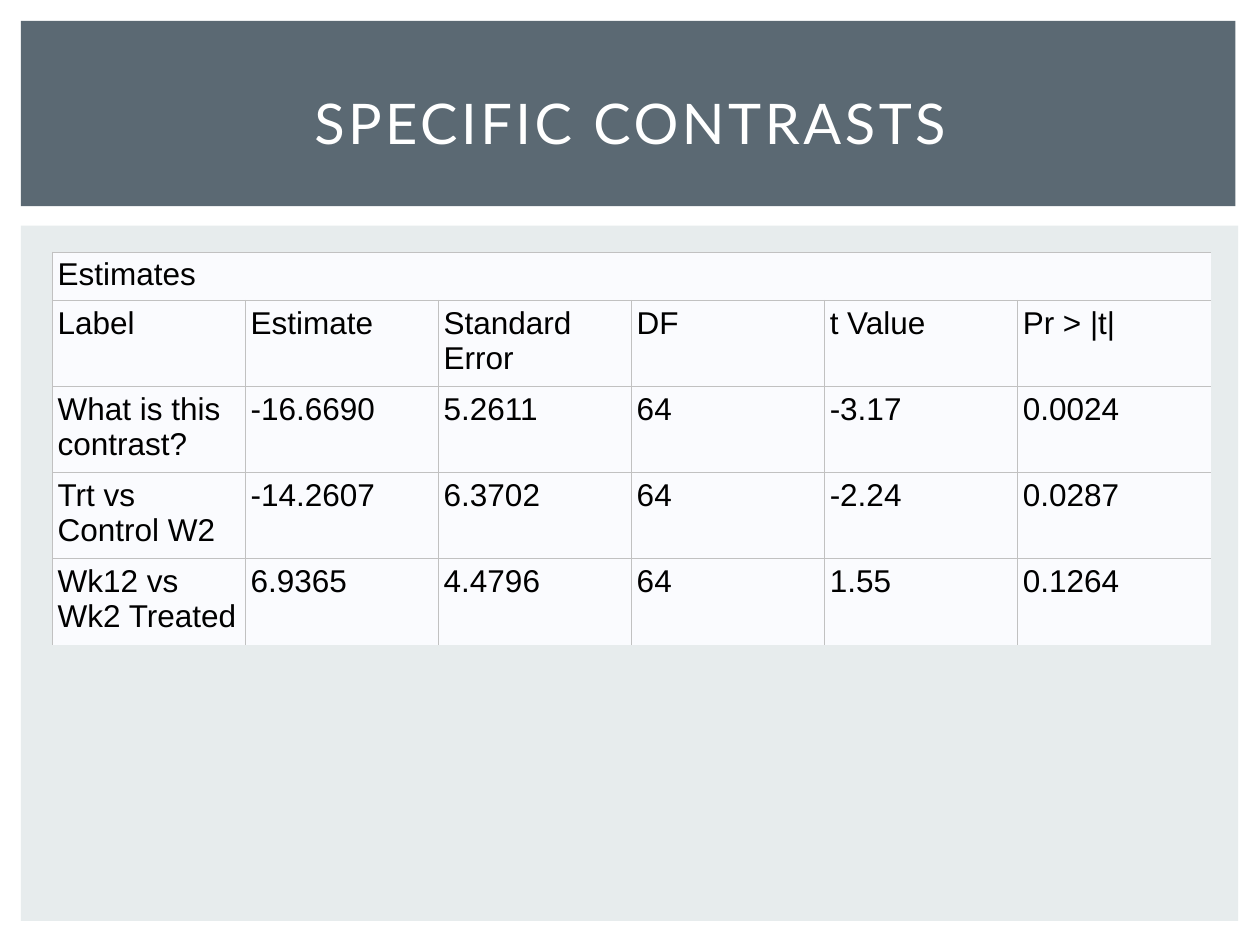
from dataclasses import dataclass

from lxml.etree import SubElement
from pptx import Presentation
from pptx.dml.color import RGBColor
from pptx.enum.shapes import MSO_SHAPE as Shape
from pptx.enum.text import MSO_ANCHOR as Anchor, PP_ALIGN as Align
from pptx.oxml.ns import qn
from pptx.slide import Slide
from pptx.table import _Cell as Cell
from pptx.util import Pt

RULE_COLOUR = "C1C1C1"
RULE_WIDTH = 0.6
CELL_FILL = "FAFBFE"
CELL_INSET = 3
COLUMN_WIDTH = 110.3
HEADING_HEIGHT = 25.7
ROW_HEIGHT = 46.3

ESTIMATES = [
    ["Estimates", "", "", "", "", ""],
    ["Label", "Estimate", "Standard Error", "DF", "t Value", "Pr > |t|"],
    ["What is this contrast?", "-16.6690", "5.2611", "64", "-3.17", "0.0024"],
    ["Trt vs Control W2", "-14.2607", "6.3702", "64", "-2.24", "0.0287"],
    ["Wk12 vs Wk2 Treated", "6.9365", "4.4796", "64", "1.55", "0.1264"],
]


@dataclass
class Panel:
    left: float
    top: float
    width: float
    height: float
    fill: str


PANELS = [
    Panel(12, 128.9, 695.5, 397.4, "E7ECED"),
    Panel(12, 12, 694, 105.8, "5B6973"),
]


def colour(hex_value: str) -> RGBColor:
    return RGBColor.from_string(hex_value)


def draw_panel(slide: Slide, panel: Panel) -> None:
    backdrop = slide.shapes.add_shape(
        Shape.RECTANGLE, Pt(panel.left), Pt(panel.top), Pt(panel.width), Pt(panel.height))
    backdrop.shadow.inherit = False
    backdrop.fill.solid()
    backdrop.fill.fore_color.rgb = colour(panel.fill)
    backdrop.line.fill.background()


def draw_title(slide: Slide, text: str) -> None:
    title = slide.shapes.add_textbox(Pt(30.2), Pt(28), Pt(660), Pt(83)).text_frame
    title.word_wrap = True
    title.vertical_anchor = Anchor.MIDDLE
    heading = title.paragraphs[0]
    heading.alignment = Align.CENTER
    heading.font.name = "Lato"
    heading.font.size = Pt(32)
    heading.font.color.rgb = colour("FFFFFF")
    letters = heading.add_run()
    letters.text = text
    letters._r.get_or_add_rPr().set("spc", "200")


def rule_cell(cell: Cell, right: bool, bottom: bool) -> None:
    """Rule the left and top sides, and the others where asked."""
    properties = cell._tc.get_or_add_tcPr()
    sides = {"a:lnL": True, "a:lnR": right, "a:lnT": True, "a:lnB": bottom}
    for tag, ruled in sides.items():
        side = SubElement(properties, qn(tag), w=str(Pt(RULE_WIDTH)))
        if ruled:
            fill = SubElement(side, qn("a:solidFill"))
            SubElement(fill, qn("a:srgbClr"), val=RULE_COLOUR)
        else:
            SubElement(side, qn("a:noFill"))


def fill_cell(cell: Cell, text: str) -> None:
    cell.fill.solid()
    cell.fill.fore_color.rgb = colour(CELL_FILL)
    cell.margin_left = cell.margin_right = Pt(CELL_INSET)
    cell.margin_top = cell.margin_bottom = Pt(CELL_INSET)
    cell.text = text
    entry = cell.text_frame.paragraphs[0]
    entry.font.name = "Arial"
    entry.font.size = Pt(18)
    entry.font.bold = False
    entry.font.color.rgb = colour("000000")


def draw_estimates(slide: Slide, rows: list[list[str]]) -> None:
    row_count, column_count = len(rows), len(rows[0])
    heights = [HEADING_HEIGHT] + [ROW_HEIGHT] * (row_count - 1)
    table = slide.shapes.add_table(
        row_count, column_count, Pt(30), Pt(144),
        Pt(COLUMN_WIDTH * column_count), Pt(sum(heights))).table
    table.first_row = table.horz_banding = False
    for column in table.columns:
        column.width = Pt(COLUMN_WIDTH)
    for row, height in zip(table.rows, heights):
        row.height = Pt(height)
    table.cell(0, 0).merge(table.cell(0, column_count - 1))

    for r, texts in enumerate(rows):
        for c, text in enumerate(texts):
            cell = table.cell(r, c)
            if cell.is_spanned:
                continue
            last_column = cell.is_merge_origin or c == column_count - 1
            rule_cell(cell, right=not last_column, bottom=r < row_count - 1)
            fill_cell(cell, text)


def main() -> None:
    deck = Presentation()
    deck.slide_width, deck.slide_height = Pt(720), Pt(540)
    slide = deck.slides.add_slide(deck.slide_layouts[6])

    # Backdrops
    for panel in PANELS:
        draw_panel(slide, panel)

    # Title and table of contrasts
    draw_title(slide, "SPECIFIC CONTRASTS")
    draw_estimates(slide, ESTIMATES)

    deck.save("out.pptx")


if __name__ == "__main__":
    main()
